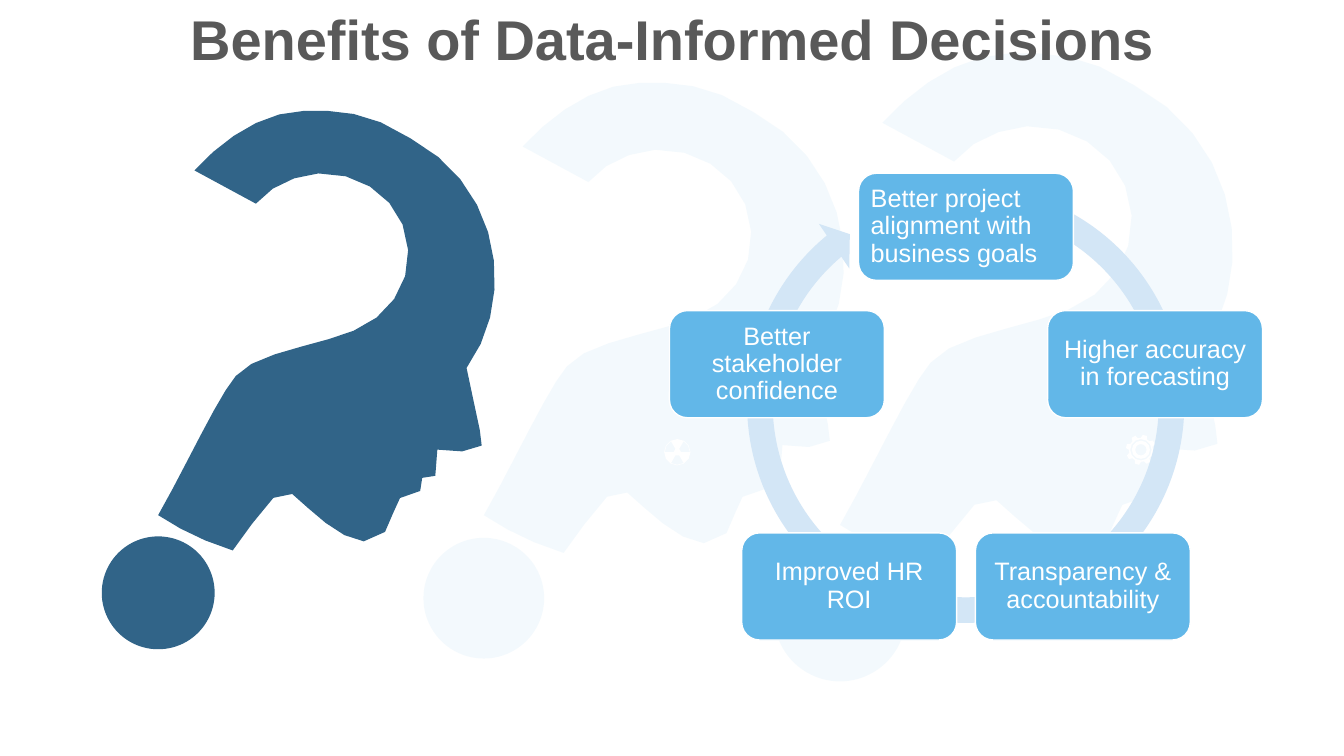
import math

import pptx
import pptx.util
import pptx.dml.color
import pptx.enum.shapes
import pptx.enum.text
import pptx.oxml.ns
from lxml import etree

Pt = pptx.util.Pt
SHAPE = pptx.enum.shapes.MSO_SHAPE
ALIGN = pptx.enum.text.PP_ALIGN
rgb = pptx.dml.color.RGBColor.from_string

deck = pptx.Presentation()
deck.slide_width, deck.slide_height = Pt(960), Pt(540)
slide = deck.slides.add_slide(deck.slide_layouts[6])


def paint(shape, color, opacity=100):
    shape.shadow.inherit = False
    shape.line.fill.background()
    shape.fill.solid()
    shape.fill.fore_color.rgb = rgb(color)
    if opacity < 100:
        tint = shape._element.spPr.find(".//" + pptx.oxml.ns.qn("a:srgbClr"))
        etree.SubElement(tint, pptx.oxml.ns.qn("a:alpha"), val=str(opacity * 1000))


def draw_outlines(outlines, left, top, scale, color, opacity=100):
    """Draw closed outlines as one shape; left and top place their zero point."""
    placed = [[(Pt(left + x * scale), Pt(top + y * scale)) for x, y in outline]
              for outline in outlines]
    builder = slide.shapes.build_freeform(*placed[0][0])
    for number, outline in enumerate(placed):
        if number:
            builder.move_to(*outline[0])
        builder.add_line_segments(outline[1:], close=True)
    paint(builder.convert_to_shape(), color, opacity)


# Head shaped as a question mark: Bezier pieces, measured from the tip of the neck
head_start = (144, -401)
head_curves = [
    [(177, -402), (209, -401), (250, -374)],
    [(342, -325), (355, -213), (306, -146)],
    [(311, -120), (323, -72), (321, -69)],
    [(313, -59), (292, -65), (277, -65)],
    [(277, -56), (277, -41), (275, -39)],
    [(272, -37), (267, -37), (262, -37)],
    [(262, -33), (264, -26), (260, -24)],
    [(255, -21), (246, -22), (240, -17)],
    [(231, -11), (235, 27), (204, 26)],
    [(178, 23), (153, -4), (133, -21)],
    [(117, -35), (91, 15), (74, 35)],
    [(45, 26), (21, 14), (0, 0)],
    [(28, -49), (59, -117), (77, -138)],
    [(95, -161), (158, -168), (194, -183)],
    [(227, -196), (250, -227), (248, -263)],
    [(246, -308), (206, -341), (159, -339)],
    [(134, -337), (111, -326), (97, -309)],
    [(36, -342)],
    [(65, -374), (104, -400), (144, -401)],
]
segment_length = 28
head = [head_start]
for curve in head_curves:
    corners = [head[-1]] + curve
    degree = len(curve)
    steps = 1
    if degree == 3:
        steps = math.ceil(math.dist(corners[0], corners[-1]) / segment_length)
    for step in range(1, steps + 1):
        t = step / steps
        weights = [math.comb(degree, i) * t ** i * (1 - t) ** (degree - i)
                   for i in range(degree + 1)]
        head.append(tuple(sum(w * c[axis] for w, c in zip(weights, corners))
                          for axis in (0, 1)))

# Two pale heads behind and one dark head in front, each with its dot
heads = [
    (345.6, 368, 0.77, "62B7E8", 7),
    (600, 375, 0.84, "62B7E8", 7),
    (113, 368, 0.72, "316488", 100),
]
for neck_x, neck_y, scale, color, opacity in heads:
    draw_outlines([head], neck_x, neck_y, scale, color, opacity)
    radius = 56 * scale
    dot = slide.shapes.add_shape(
        SHAPE.OVAL, Pt(neck_x - radius), Pt(neck_y + 77 * scale - radius),
        Pt(2 * radius), Pt(2 * radius))
    paint(dot, color, opacity)

# Title
title = slide.shapes.add_textbox(Pt(34), Pt(0), Pt(892), Pt(55.4))
title.text_frame.word_wrap = True
title.text_frame.auto_size = pptx.enum.text.MSO_AUTO_SIZE.SHAPE_TO_FIT_TEXT
heading = title.text_frame.paragraphs[0]
heading.text = "Benefits of Data-Informed Decisions"
heading.alignment = ALIGN.CENTER
heading.font.name, heading.font.size, heading.font.bold = "Arial", Pt(40), True
heading.font.color.rgb = rgb("595959")

# Radiation sign: disc with three cut-out blades, each a ring sector
disc = [(9.4 * math.cos(math.radians(a)), 9.4 * math.sin(math.radians(a)))
        for a in range(0, 360, 30)]
blades = []
for start in (60, 180, 300):
    sector = ((2.7, 0), (9, 0), (9, 30), (9, 60), (2.7, 60))
    blades.append([(r * math.cos(math.radians(start + turn)),
                    r * math.sin(math.radians(start + turn))) for r, turn in sector])
draw_outlines([disc] + blades, 483.8, 323, 1, "FFFFFF")

# Gear with eight teeth and a ring-shaped gap
teeth = []
for tooth in range(8):
    for turn, radius in ((-15, 8.6), (-8, 10.8), (8, 10.8), (15, 8.6)):
        angle = math.radians(15 + 45 * tooth + turn)
        teeth.append((radius * math.cos(angle), radius * math.sin(angle)))
gear_rings = [[(x * size, y * size) for x, y in disc] for size in (0.81, 0.69, 0.43)]
draw_outlines([teeth] + gear_rings, 815, 321.3, 1, "FFFFFF")

# Cycle arrow
cycle = slide.shapes.add_shape(
    SHAPE.CIRCULAR_ARROW, Pt(523.5), Pt(122.5), Pt(332.6), Pt(332.6))
for index, value in enumerate((0.055, 3.307, 138.143, 173.626, 0.058)):
    cycle.adjustments[index] = value
paint(cycle, "D3E6F6")

# Five benefits, clockwise from the top of the cycle
benefits = [
    "Better project alignment with business goals",
    "Higher accuracy in forecasting",
    "Transparency & accountability",
    "Improved HR ROI",
    "Better stakeholder confidence",
]
center_x, center_y, cycle_radius = 690, 304, 142
box_width, box_height = 153.5, 76.5
for index, benefit in enumerate(benefits):
    angle = 2 * math.pi * index / len(benefits)
    box = slide.shapes.add_shape(
        SHAPE.ROUNDED_RECTANGLE,
        Pt(center_x + cycle_radius * math.sin(angle) - box_width / 2),
        Pt(center_y - cycle_radius * math.cos(angle) - box_height / 2),
        Pt(box_width), Pt(box_height))
    paint(box, "62B7E8")
    box.line.color.rgb = rgb("FFFFFF")
    box.line.width = Pt(1)
    frame = box.text_frame
    frame.word_wrap = True
    frame.vertical_anchor = pptx.enum.text.MSO_ANCHOR.MIDDLE
    frame.margin_left = frame.margin_right = Pt(5)
    frame.margin_top = frame.margin_bottom = Pt(5)
    label = frame.paragraphs[0]
    label.text = benefit
    label.alignment = ALIGN.CENTER if index else ALIGN.LEFT
    label.line_spacing = 0.9
    label.font.name, label.font.size = "Arial", Pt(18)
    label.font.color.rgb = rgb("FFFFFF")

deck.save("out.pptx")
